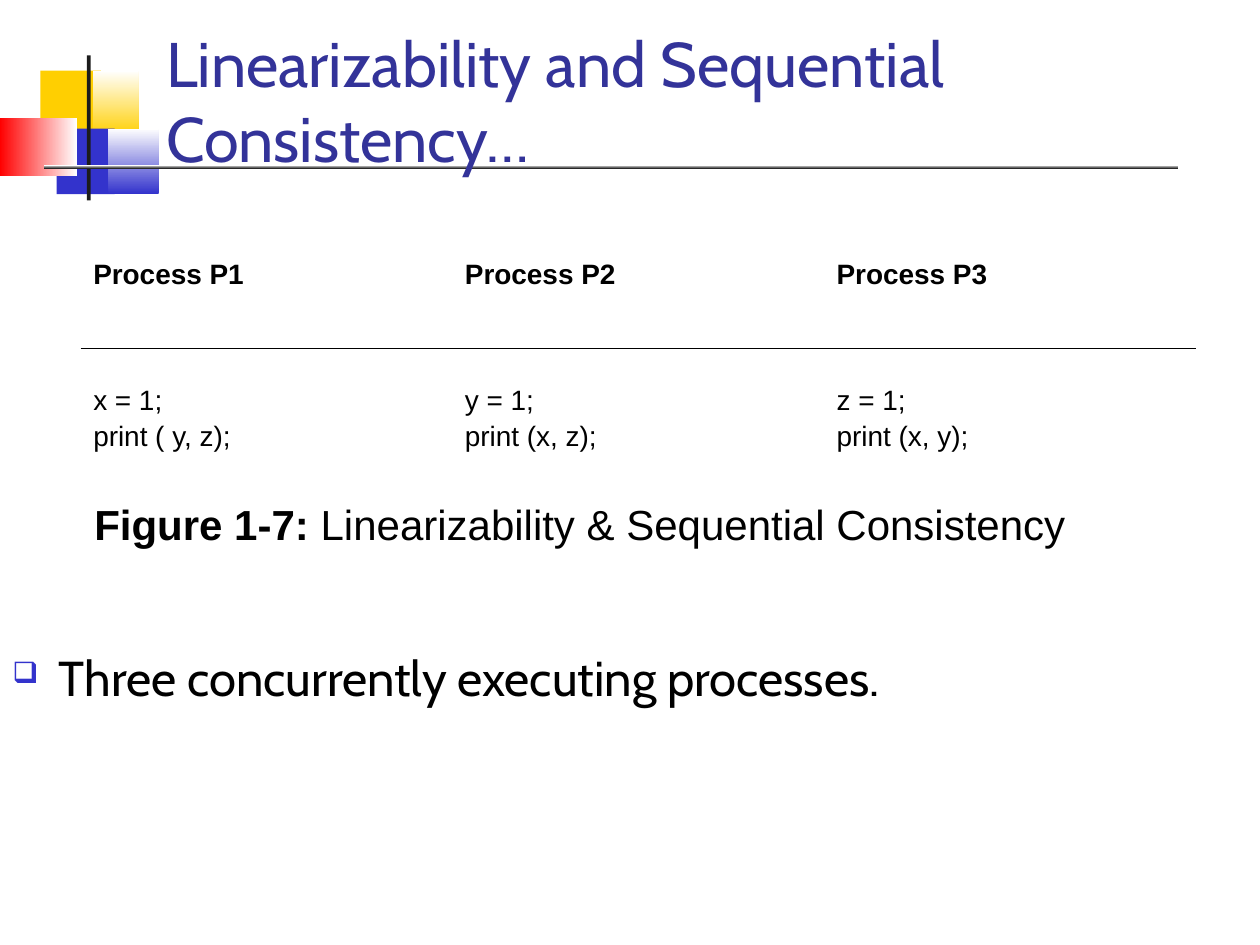
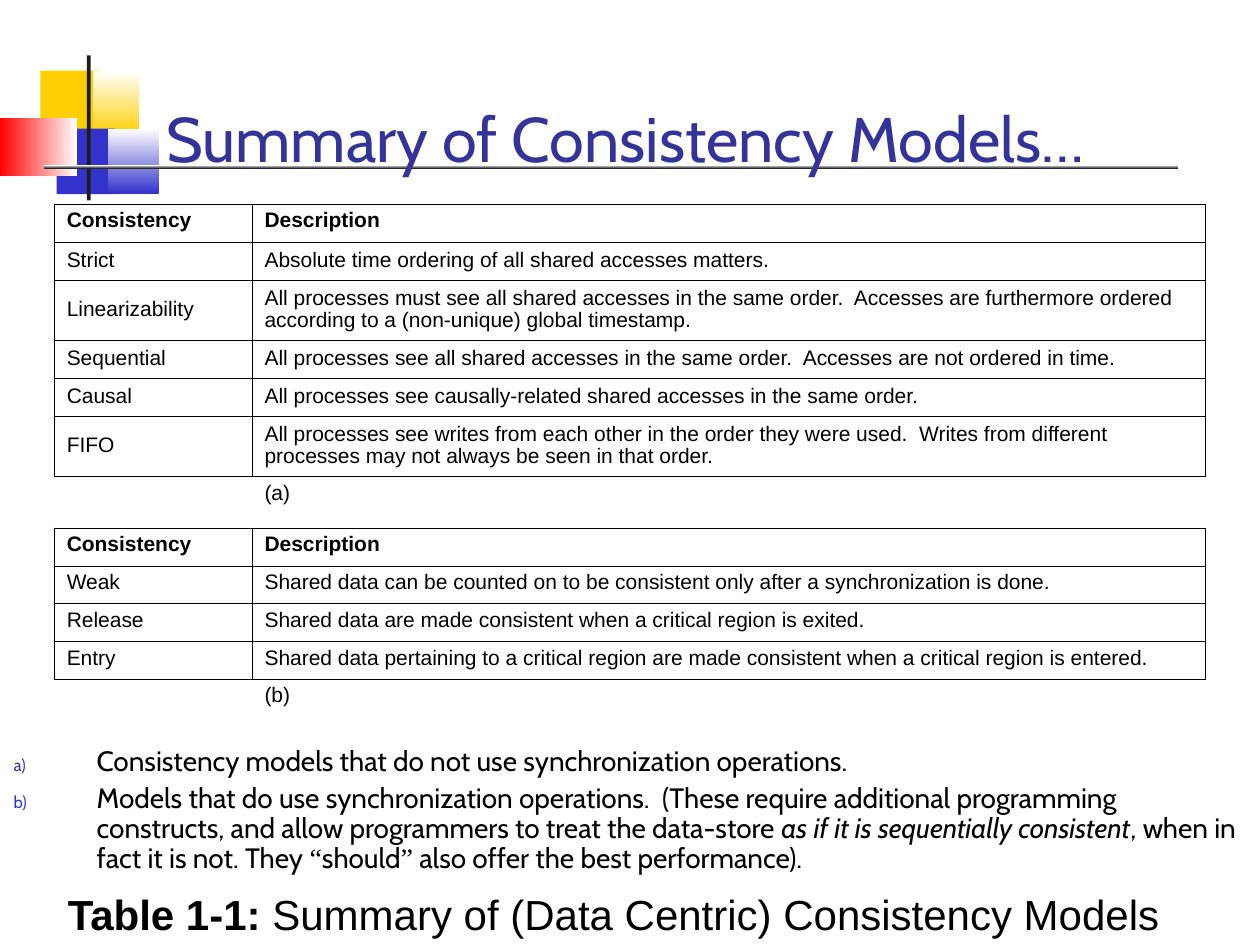
from dataclasses import dataclass

from lxml import etree
from pptx import Presentation
from pptx import util as u
from pptx.dml.color import RGBColor
from pptx.enum import shapes, text
from pptx.oxml import ns


@dataclass(frozen=True)
class Theme:
    ink: str = "000000"
    title: str = "333399"
    blue: str = "3333CC"
    yellow: str = "FFCF01"
    red: str = "FF0000"
    white: str = "FFFFFF"
    rule: str = "1C1C1C"
    body_font: str = "Cabin"
    table_font: str = "Arial"
    quote_font: str = "Times New Roman"
    title_size: int = 36
    point_size: int = 28
    caption_size: int = 24
    note_size: int = 16
    code_size: int = 16
    model_size: int = 12
    thin: float = 0.23
    outer: float = 0.5


THEME = Theme()
PLAIN_TABLE_STYLE = "{2D5ABB26-0587-4C30-8999-92F81FD0307C}"

# box, gradient or solid colours, gradient angle
ORNAMENT = [
    ((0.32, 0.56, 0.48, 0.52), (THEME.yellow,), None),
    ((0.74, 0.56, 0.36, 0.52), (THEME.yellow, THEME.white), 90),
    ((0.45, 1.02, 0.46, 0.52), (THEME.blue,), None),
    ((0.86, 1.02, 0.4, 0.52), (THEME.blue, THEME.white), 90),
    ((0, 0.94, 0.61, 0.46), (THEME.white, THEME.red), 180),
    ((0.69, 0.44, 0.03, 1.15), (THEME.rule,), None),
    ((0.35, 1.31, 9, 0.03), (THEME.rule, THEME.white), 90),
]

PROCESSES = [
    ("Process P1", "Process P2", "Process P3"),
    ("x = 1;\nprint ( y, z);", "y = 1;\nprint (x, z);", "z = 1;\nprint (x, y);"),
]

HEADER = ("Consistency", "Description")
UNSYNCHRONIZED = [
    ("Strict", "Absolute time ordering of all shared accesses matters."),
    ("Linearizability",
     "All processes must see all shared accesses in the same order.  Accesses are "
     "furthermore ordered according to a (non-unique) global timestamp."),
    ("Sequential",
     "All processes see all shared accesses in the same order.  "
     "Accesses are not ordered in time."),
    ("Causal", "All processes see causally-related shared accesses in the same order."),
    ("FIFO",
     "All processes see writes from each other in the order they were used.  Writes "
     "from different processes may not always be seen in that order."),
]
SYNCHRONIZED = [
    ("Weak",
     "Shared data can be counted on to be consistent only after a synchronization is done."),
    ("Release", "Shared data are made consistent when a critical region is exited."),
    ("Entry",
     "Shared data pertaining to a critical region are made consistent "
     "when a critical region is entered."),
]
MODELS = [HEADER, *UNSYNCHRONIZED, ("", "(a)"), HEADER, *SYNCHRONIZED, ("", "(b)")]

NOTES = [
    [("Consistency models that do not use synchronization operations.", {})],
    [
        ("Models that do use synchronization operations.  (These require additional "
         "programming constructs, and allow programmers to treat the data-store ", {}),
        ("as if it is sequentially consistent", {"italic": True}),
        (", when in fact it is not. They ", {}),
        ("“", {"name": THEME.quote_font}),
        ("should", {}),
        ("”", {"name": THEME.quote_font}),
        (" also offer the best performance).", {}),
    ],
]


def inches(box):
    return [u.Inches(length) for length in box]


def style_run(run, size, name, color=THEME.ink, bold=False, italic=False):
    font = run.font
    font.size, font.name, font.bold, font.italic = u.Pt(size), name, bold, italic
    font.color.rgb = RGBColor.from_string(color)


def add_runs(paragraph, runs, **style):
    """Append (text, overrides) runs that share a base style."""
    for words, overrides in runs:
        run = paragraph.add_run()
        run.text = words
        style_run(run, **{**style, **overrides})


def add_text_frame(slide, box, anchor=text.MSO_ANCHOR.TOP):
    frame = slide.shapes.add_textbox(*inches(box)).text_frame
    frame.word_wrap = True
    frame.vertical_anchor = anchor
    return frame


def hang(paragraph, left, first):
    properties = paragraph._p.get_or_add_pPr()
    properties.set("marL", str(u.Inches(left)))
    properties.set("indent", str(u.Inches(first)))
    return properties


def set_bullet(paragraph, indent, tag, **attributes):
    """Give a hanging paragraph a small blue mark: buChar or buAutoNum."""
    properties = hang(paragraph, indent, -indent)
    color = etree.SubElement(properties, ns.qn("a:buClr"))
    etree.SubElement(color, ns.qn("a:srgbClr"), val=THEME.blue)
    etree.SubElement(properties, ns.qn("a:buSzPct"), val="60000")
    etree.SubElement(properties, ns.qn(tag), **attributes)


def add_ornament(slide):
    for box, colors, angle in ORNAMENT:
        block = slide.shapes.add_shape(shapes.MSO_SHAPE.RECTANGLE, *inches(box))
        block.shadow.inherit = False
        block.line.fill.background()
        if angle is None:
            block.fill.solid()
            block.fill.fore_color.rgb = RGBColor.from_string(colors[0])
        else:
            block.fill.gradient()
            block.fill.gradient_angle = angle
            for stop, color in zip(block.fill.gradient_stops, colors):
                stop.color.rgb = RGBColor.from_string(color)


def add_title(slide, words, box):
    frame = add_text_frame(slide, box, text.MSO_ANCHOR.BOTTOM)
    add_runs(frame.paragraphs[0], [(words, {})], size=THEME.title_size,
             name=THEME.body_font, color=THEME.title)


def add_caption(slide, label, words, box):
    paragraph = add_text_frame(slide, box).paragraphs[0]
    hang(paragraph, 0.67, -0.66)
    add_runs(paragraph, [(label, {"bold": True}), (" " + words, {})],
             size=THEME.caption_size, name=THEME.table_font)


def add_point(slide, words, box):
    paragraph = add_text_frame(slide, box).paragraphs[0]
    set_bullet(paragraph, 0.37, "a:buChar", char="❑")
    add_runs(paragraph, [(words, {})], size=THEME.point_size, name=THEME.body_font)


def add_notes(slide, notes, box):
    frame = add_text_frame(slide, box)
    for index, runs in enumerate(notes):
        paragraph = frame.add_paragraph() if index else frame.paragraphs[0]
        set_bullet(paragraph, 0.66, "a:buAutoNum", type="alphaLcParenR")
        paragraph.line_spacing = 0.9
        if index:
            paragraph.space_before = u.Pt(4)
        add_runs(paragraph, runs, size=THEME.note_size, name=THEME.body_font)


def add_plain_table(slide, rows, left_top, widths, heights):
    """Add an unstyled table with the given column widths and row heights."""
    box = (*left_top, sum(widths), sum(heights))
    frame = slide.shapes.add_table(len(rows), len(widths), *inches(box))
    table = frame.table
    table.first_row = table.horz_banding = False
    table._tbl.tblPr.find(ns.qn("a:tableStyleId")).text = PLAIN_TABLE_STYLE
    for column, width in zip(table.columns, widths):
        column.width = u.Inches(width)
    for row, height in zip(table.rows, heights):
        row.height = u.Inches(height)
    return table


def fill_cell(cell, words, size, bold, anchor, borders):
    """Write a cell; borders maps sides, in the order L R T B, to widths."""
    cell.text_frame.text = words
    cell.vertical_anchor = anchor
    for index, paragraph in enumerate(cell.text_frame.paragraphs):
        paragraph.line_spacing = 0.93
        if index:
            paragraph.space_before = u.Pt(4)
        for run in paragraph.runs:
            style_run(run, size, THEME.table_font, bold=bold)
    properties = cell._tc.get_or_add_tcPr()
    for side, width in borders.items():
        line = etree.SubElement(properties, ns.qn(f"a:ln{side}"), w=str(u.Pt(width)))
        fill = etree.SubElement(line, ns.qn("a:solidFill"))
        etree.SubElement(fill, ns.qn("a:srgbClr"), val=THEME.ink)
    cell.fill.background()


def add_process_table(slide, left_top):
    table = add_plain_table(slide, PROCESSES, left_top, [2.95] * 3, [1.14] * 2)
    for r, row in enumerate(PROCESSES):
        for c, words in enumerate(row):
            fill_cell(table.cell(r, c), words, THEME.code_size, r == 0,
                      text.MSO_ANCHOR.MIDDLE, {"T" if r else "B": THEME.thin})


def add_model_table(slide, left_top):
    two_line = ("Linearizability", "FIFO")
    heights = [0.41 if not name else 0.48 if name in two_line else 0.3
               for name, _ in MODELS]
    table = add_plain_table(slide, MODELS, left_top, [1.57, 7.57], heights)
    for r, row in enumerate(MODELS):
        anchor = text.MSO_ANCHOR.MIDDLE if row in UNSYNCHRONIZED else text.MSO_ANCHOR.TOP
        for c, words in enumerate(row):
            borders = {
                "L": THEME.thin if c else THEME.outer,
                "R": THEME.outer if c else THEME.thin,
                "T": THEME.thin if r else THEME.outer,
                "B": THEME.thin,
            }
            fill_cell(table.cell(r, c), words, THEME.model_size, row == HEADER,
                      anchor, borders if row[0] else {})


def add_base_slide(deck, title, title_box):
    slide = deck.slides.add_slide(deck.slide_layouts[6])
    add_ornament(slide)
    add_title(slide, title, title_box)
    return slide


def add_processes_slide(deck):
    slide = add_base_slide(deck, "Linearizability and Sequential Consistency…",
                           (1.22, 0.52, 8.66, 0.92))
    add_point(slide, "Three concurrently executing processes.", (0, 5.09, 10, 0.92))
    add_process_table(slide, (0.64, 1.62))
    add_caption(slide, "Figure 1-7:", "Linearizability & Sequential Consistency",
                (0.64, 3.91, 8.14, 0.5))


def add_models_slide(deck):
    slide = add_base_slide(deck, "Summary of Consistency Models…",
                           (1.22, 0.52, 8.52, 0.92))
    add_model_table(slide, (0.43, 1.62))
    add_caption(slide, "Table 1-1:", "Summary of (Data Centric) Consistency Models",
                (0.43, 7, 9.14, 0.5))
    add_notes(slide, NOTES, (0.01, 5.88, 10, 1.26))


def main():
    deck = Presentation()
    deck.slide_width, deck.slide_height = inches((10, 7.5))
    add_processes_slide(deck)
    add_models_slide(deck)
    deck.save("out.pptx")


if __name__ == "__main__":
    main()
